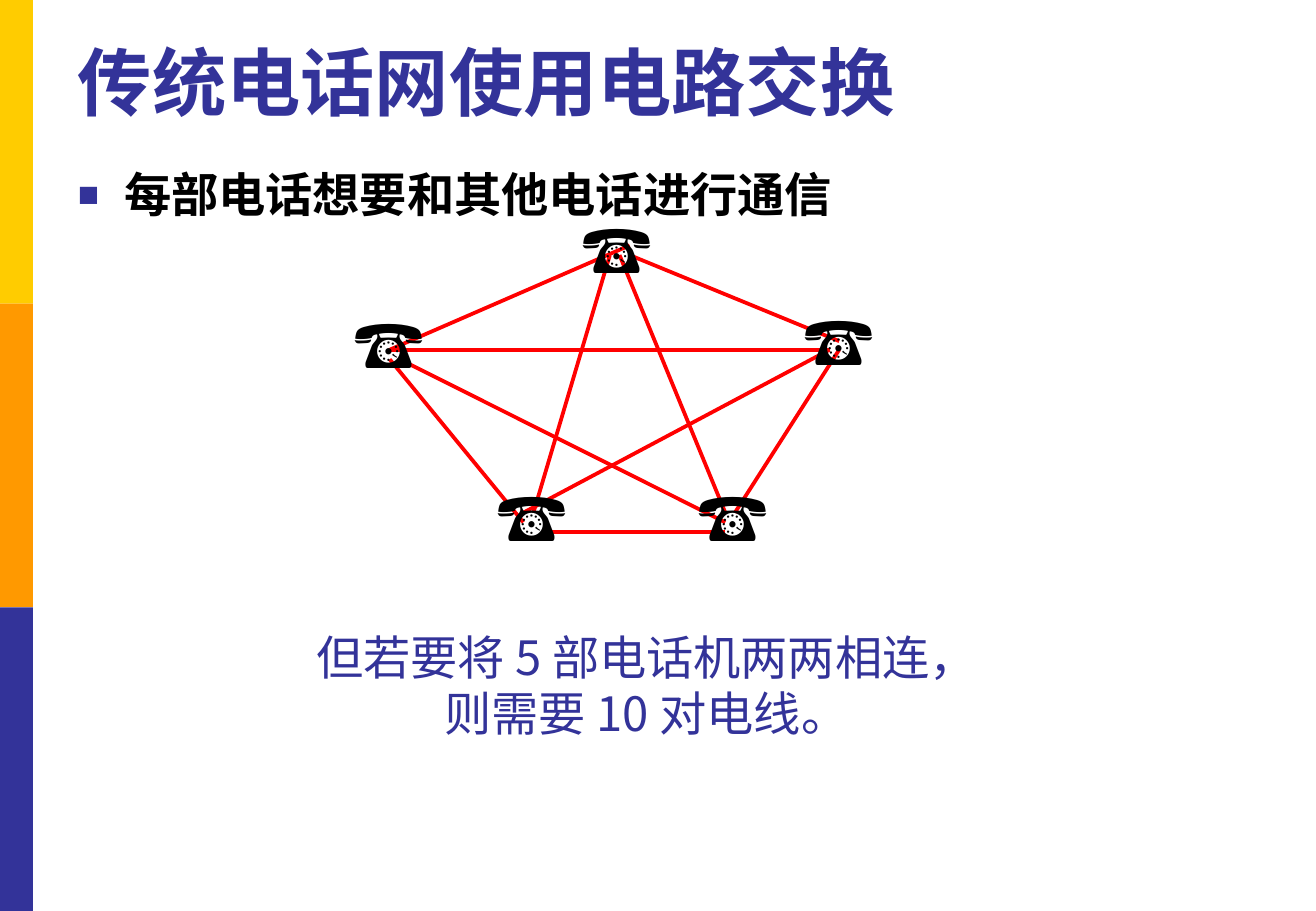
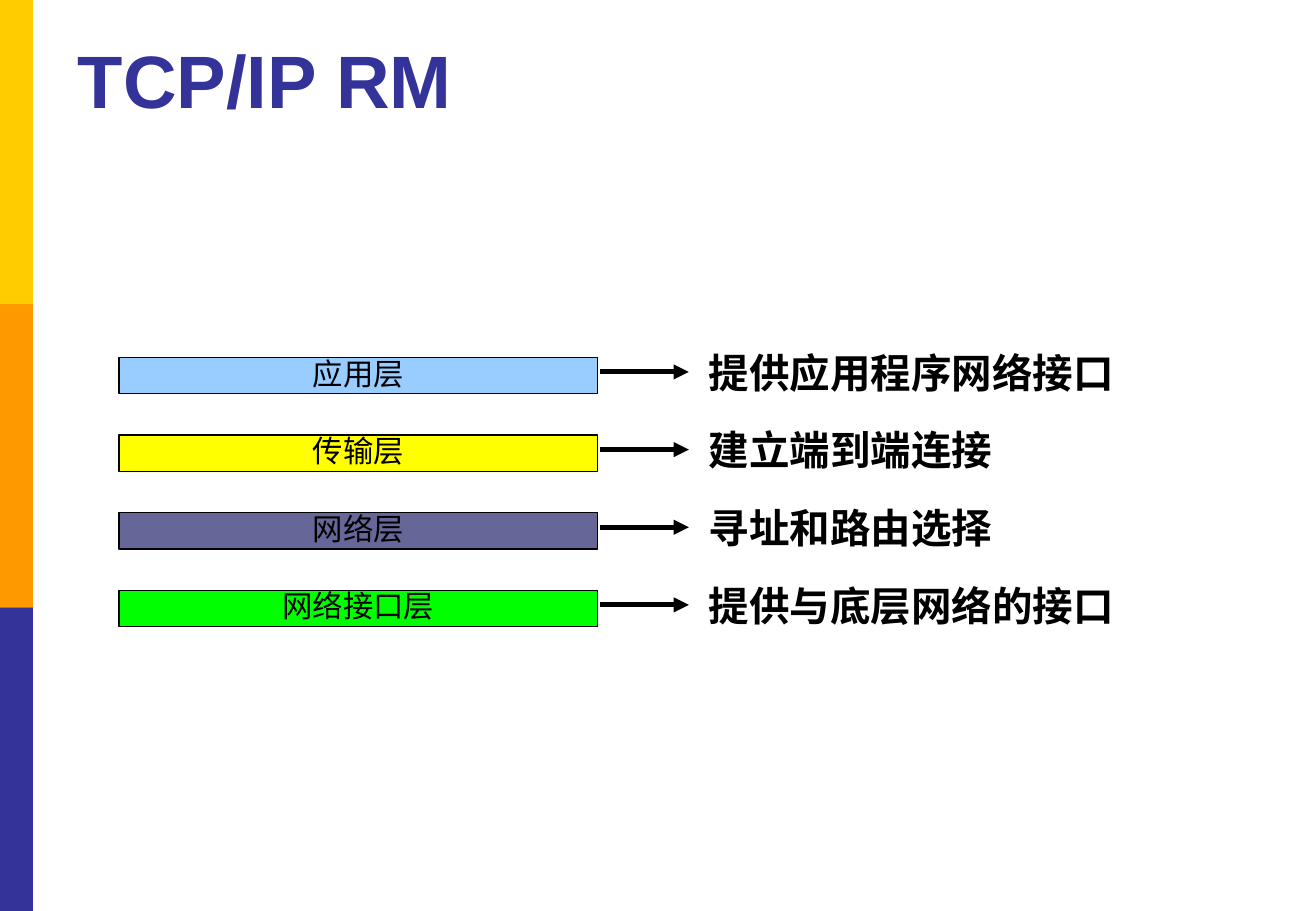
from dataclasses import dataclass

import pptx
import pptx.dml.color
import pptx.enum.shapes
import pptx.enum.text
import pptx.oxml
import pptx.oxml.ns
import pptx.util
from lxml import etree

ALIGN = pptx.enum.text.PP_ALIGN
ANCHOR = pptx.enum.text.MSO_ANCHOR
AUTO_SIZE = pptx.enum.text.MSO_AUTO_SIZE
RECTANGLE = pptx.enum.shapes.MSO_SHAPE.RECTANGLE
qn = pptx.oxml.ns.qn

COLUMNS, ROWS = 130, 90
CELL = pptx.util.Inches(1 / 12)


@dataclass(frozen=True)
class Theme:
    navy: str = "333399"
    orange: str = "FF9900"
    gold: str = "FFCC00"
    black: str = "000000"
    wire: str = "FF0000"
    application: str = "99CCFF"
    transport: str = "FFFF00"
    network: str = "666699"
    interface: str = "00FF00"
    latin: str = "Arial"
    chinese: str = "Noto Sans CJK SC"
    symbol: str = "Times New Roman"
    title_size: int = 44
    phone_size: int = 40
    body_size: int = 28
    purpose_size: int = 24
    layer_size: int = 18


THEME = Theme()

TITLE_BOX = (6.5, 2.5, 119, 10.5)
BODY_BOX = (6.5, 15.75, 119, 64.75)

# Start column and row, end column and row of each wire
WIRES = [
    (60.25, 25.2, 52.7, 50.65),
    (39.5, 35.5, 71.65, 51.6),
    (38.5, 35.5, 51.7, 51.6),
    (38.5, 34.55, 62.2, 24.25),
    (38.5, 34.55, 81.95, 34.55),
    (62.2, 25.2, 82.9, 33.7),
    (53.65, 52.55, 71.65, 52.55),
    (72.6, 50.65, 82.9, 34.55),
    (61.2, 25.2, 71.65, 50.65),
    (51.7, 50.65, 81.95, 34.55),
]
PHONES = [(56.4, 19.8), (33.85, 29.15), (48, 46.2), (78.25, 28.9), (67.8, 46.2)]

LAYERS = [
    ("应用层", THEME.application, "提供应用程序网络接口"),
    ("传输层", THEME.transport, "建立端到端连接"),
    ("网络层", THEME.network, "寻址和路由选择"),
    ("网络接口层", THEME.interface, "提供与底层网络的接口"),
]


def rgb(color):
    return pptx.dml.color.RGBColor.from_string(color)


def cells(*counts):
    """Turn counts of grid cells into lengths."""
    return [pptx.util.Emu(round(count * CELL)) for count in counts]


def place(shape, box):
    shape.left, shape.top, shape.width, shape.height = cells(*box)


def add_bullet(paragraph, color):
    properties = paragraph._p.get_or_add_pPr()
    indent = pptx.util.Inches(0.38)
    properties.set("marL", str(indent))
    properties.set("indent", str(-indent))
    bullet_color = etree.SubElement(properties, qn("a:buClr"))
    etree.SubElement(bullet_color, qn("a:srgbClr"), val=color)
    etree.SubElement(properties, qn("a:buSzPct"), val="75000")
    etree.SubElement(properties, qn("a:buFont"), typeface=THEME.latin)
    etree.SubElement(properties, qn("a:buChar"), char="■")


def write(frame, *lines, size, color=THEME.black, bold=False, latin=THEME.latin,
          chinese=THEME.chinese, align=ALIGN.LEFT, anchor=ANCHOR.TOP,
          wrap=True, fit=AUTO_SIZE.NONE, bullet=None):
    """Fill a text frame with one paragraph per line; bullet is a colour."""
    frame.word_wrap = wrap
    frame.auto_size = fit
    frame.vertical_anchor = anchor
    for number, line in enumerate(lines):
        paragraph = frame.add_paragraph() if number else frame.paragraphs[0]
        if bullet:
            add_bullet(paragraph, bullet)
        paragraph.alignment = align
        paragraph.space_before = pptx.util.Pt(0)
        run = paragraph.add_run()
        run.text = line
        run.font.size = pptx.util.Pt(size)
        run.font.bold = bold
        run.font.color.rgb = rgb(color)
        run.font.name = latin
        etree.SubElement(run._r.get_or_add_rPr(), qn("a:ea"), typeface=chinese)


def add_label(slide, box, *lines, **style):
    """Add a text box that grows with its unwrapped text."""
    label = slide.shapes.add_textbox(*cells(*box))
    write(label.text_frame, *lines, wrap=False, fit=AUTO_SIZE.SHAPE_TO_FIT_TEXT, **style)


def add_block(slide, box, fill, outline=None):
    block = slide.shapes.add_shape(RECTANGLE, *cells(*box))
    block.shadow.inherit = False
    block.fill.solid()
    block.fill.fore_color.rgb = rgb(fill)
    if outline:
        block.line.color.rgb = rgb(outline)
        block.line.width = pptx.util.Pt(0.75)
    else:
        block.line.fill.background()
    return block


def add_line(slide, ends, color, width, arrow=False):
    line = slide.shapes.add_connector(pptx.enum.shapes.MSO_CONNECTOR.STRAIGHT, *cells(*ends))
    line.line.color.rgb = rgb(color)
    line.line.width = pptx.util.Pt(width)
    if arrow:
        etree.SubElement(line.line._get_or_add_ln(), qn("a:tailEnd"), type="triangle")
    etree.SubElement(line.element.spPr, qn("a:effectLst"))


def set_up_master(deck, slide):
    """Place the master's title and body, and move the side bands drawn on slide to it."""
    master = deck.slide_master
    for placeholder, box in zip(master.placeholders, (TITLE_BOX, BODY_BOX)):
        place(placeholder, box)
    height = ROWS / 3
    for number, color in enumerate((THEME.gold, THEME.orange, THEME.navy)):
        band = add_block(slide, (0, number * height, 3.25, height), color)
        band.element.nvSpPr.cNvPr.set("id", str(100 + number))
        master.shapes.element.insert(2 + number, band.element)


def add_title(slide, text, anchor):
    write(slide.shapes.title.text_frame, text, size=THEME.title_size,
          color=THEME.navy, bold=True, anchor=anchor)


def fill_telephone_slide(slide):
    add_title(slide, "传统电话网使用电路交换", ANCHOR.BOTTOM)
    write(slide.placeholders[1].text_frame, "每部电话想要和其他电话进行通信",
          size=THEME.body_size, bold=True, bullet=THEME.navy)
    for ends in WIRES:
        add_line(slide, ends, THEME.wire, 2.25)
    add_label(slide, (28.8, 61.45, 70.1, 12.35),
              "但若要将 5 部电话机两两相连，", "则需要 10 对电线。",
              size=THEME.body_size, color=THEME.navy, latin=THEME.chinese, align=ALIGN.CENTER)
    for column, row in PHONES:
        add_label(slide, (column, row, 11.3, 9.25), "☎", size=THEME.phone_size,
                  latin=THEME.symbol, chinese=THEME.symbol)


def fill_layer_slide(slide):
    add_title(slide, "TCP/IP RM", ANCHOR.MIDDLE)
    first_row, pitch = 35.3, 7.67
    for number, (layer, fill, purpose) in enumerate(LAYERS):
        top = first_row + number * pitch
        middle = top + 1.45
        block = add_block(slide, (11.75, top, 47.3, 3.6), fill, outline=THEME.black)
        frame = block.text_frame
        frame.margin_top, frame.margin_bottom = cells(0, 0.5)
        write(frame, layer, size=THEME.layer_size, align=ALIGN.CENTER, anchor=ANCHOR.MIDDLE)
        add_line(slide, (59.3, middle, 68.05, middle), THEME.black, 3, arrow=True)
        add_label(slide, (68.85, middle - 3, 4 * len(purpose) + 2.5, 6), purpose,
                  size=THEME.purpose_size, bold=True, anchor=ANCHOR.MIDDLE)


def main():
    deck = pptx.Presentation()
    deck.slide_width, deck.slide_height = cells(COLUMNS, ROWS)
    title_and_body, title_only = deck.slide_layouts[1], deck.slide_layouts[5]
    telephone_slide = deck.slides.add_slide(title_and_body)
    set_up_master(deck, telephone_slide)
    fill_telephone_slide(telephone_slide)
    fill_layer_slide(deck.slides.add_slide(title_only))
    deck.save("out.pptx")


if __name__ == "__main__":
    main()
